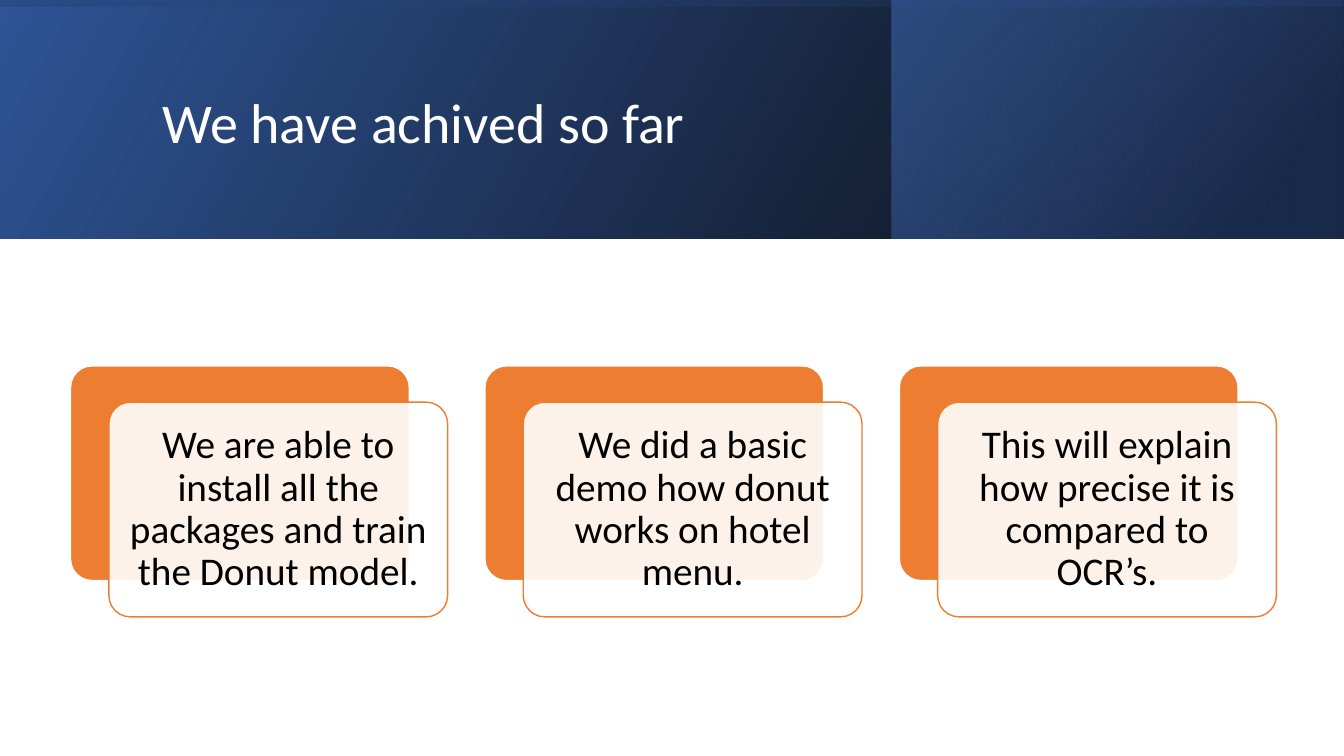
import pptx
import pptx.util
import pptx.dml.color
import pptx.enum.shapes
import pptx.enum.text
import pptx.oxml
import pptx.oxml.ns
from pptx.util import Inches

RGBColor = pptx.dml.color.RGBColor
BLACK = RGBColor(0x00, 0x00, 0x00)
WHITE = RGBColor(0xFF, 0xFF, 0xFF)
ORANGE = RGBColor(0xED, 0x7D, 0x31)
BLUE = RGBColor(0x44, 0x72, 0xC4)
MID_BLUE = RGBColor(0x2F, 0x55, 0x97)
NAVY = RGBColor(0x20, 0x38, 0x64)
SHAPES = pptx.enum.shapes.MSO_SHAPE
ALIGN = pptx.enum.text.PP_ALIGN


def write_text(shape, text, size, color, align, inset_x=0.1, inset_y=0.05):
    frame = shape.text_frame
    frame.word_wrap = True
    frame.auto_size = pptx.enum.text.MSO_AUTO_SIZE.NONE
    frame.vertical_anchor = pptx.enum.text.MSO_ANCHOR.MIDDLE
    frame.margin_left = frame.margin_right = Inches(inset_x)
    frame.margin_top = frame.margin_bottom = Inches(inset_y)
    para = frame.paragraphs[0]
    para.alignment = align
    para.line_spacing = 0.9
    span = para.add_run()
    span.text = text
    span.font.name = "Calibri"
    span.font.size = pptx.util.Pt(size)
    span.font.color.rgb = color


deck = pptx.Presentation()
deck.slide_width = Inches(13.33)
deck.slide_height = Inches(7.5)
page = deck.slides.add_slide(deck.slide_layouts[5])

# Header bands: left, top, width, height, rotation, gradient angle,
# stops as (position %, colour, opacity %)
bands = [
    (0, 0, 13.33, 2.37, 0, 330, [(0, BLACK, 96), (100, MID_BLUE, 100)]),
    (8.84, 0, 4.48, 2.37, 0, 320, [(19, NAVY, 68), (100, BLUE, 48)]),
    (5.48, -5.48, 2.37, 13.33, 270, 350, [(23, MID_BLUE, 16), (99, BLACK, 45)]),
]
for left, top, width, height, rotation, angle, stops in bands:
    band = page.shapes.add_shape(
        SHAPES.RECTANGLE, Inches(left), Inches(top), Inches(width), Inches(height))
    band.shadow.inherit = False
    band.line.fill.background()
    band.rotation = rotation
    properties = band._element.spPr
    properties.xfrm.set("flipH", "1")
    stop_xml = "".join(
        f'<a:gs pos="{position * 1000}"><a:srgbClr val="{color}">'
        f'<a:alpha val="{opacity * 1000}"/></a:srgbClr></a:gs>'
        for position, color, opacity in stops)
    gradient = pptx.oxml.parse_xml(
        f'<a:gradFill {pptx.oxml.ns.nsdecls("a")}><a:gsLst>{stop_xml}</a:gsLst>'
        f'<a:lin ang="{angle * 60000}" scaled="0"/></a:gradFill>')
    properties.find(pptx.oxml.ns.qn("a:prstGeom")).addnext(gradient)

# Title, brought in front of the bands
title = page.shapes.title
title.left, title.top = Inches(1.51), Inches(0.38)
title.width, title.height = Inches(10.63), Inches(1.72)
write_text(title, "We have achived so far", 40, WHITE, ALIGN.LEFT)
page.shapes._spTree.append(title._element)

# Achievement cards: an orange plate with a translucent card offset over it
achievements = [
    "We are able to install all the packages and train the Donut model.",
    "We did a basic demo how donut works on hotel menu.",
    "This will explain how precise it is compared to OCR’s.",
]
for index, achievement in enumerate(achievements):
    plate_left = 0.7 + index * 4.11
    for left, top, fill, line in [
            (plate_left, 3.63, ORANGE, WHITE),
            (plate_left + 0.38, 3.99, WHITE, ORANGE)]:
        card = page.shapes.add_shape(
            SHAPES.ROUNDED_RECTANGLE, Inches(left), Inches(top), Inches(3.36), Inches(2.13))
        card.adjustments[0] = 0.1
        card.shadow.inherit = False
        card.fill.solid()
        card.fill.fore_color.rgb = fill
        card.line.color.rgb = line
        card.line.width = pptx.util.Pt(1)

    # The front card is 90% opaque and carries the text
    fill_color = card._element.spPr.find(
        pptx.oxml.ns.qn("a:solidFill")).find(pptx.oxml.ns.qn("a:srgbClr"))
    fill_color.append(pptx.oxml.parse_xml(
        f'<a:alpha {pptx.oxml.ns.nsdecls("a")} val="90000"/>'))
    write_text(card, achievement, 28, BLACK, ALIGN.CENTER, inset_x=0.12, inset_y=0.12)

deck.save("out.pptx")
